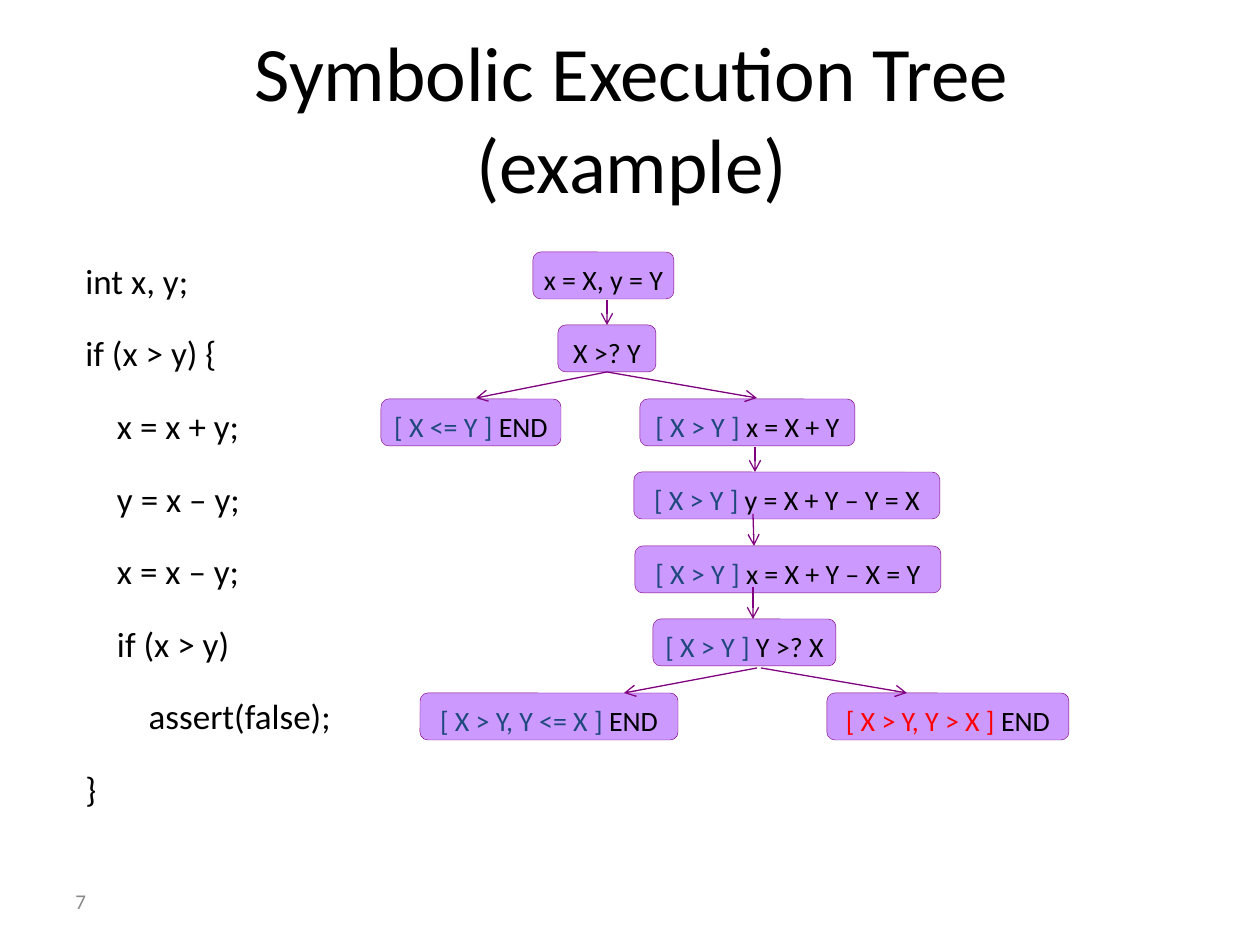
from lxml.etree import SubElement
from pptx import Presentation
from pptx.dml.color import RGBColor
from pptx.enum.shapes import MSO_CONNECTOR, MSO_SHAPE
from pptx.enum.text import MSO_ANCHOR, MSO_AUTO_SIZE, PP_ALIGN
from pptx.oxml.ns import qn
from pptx.util import Emu, Pt

PX = 914400 // 126
COLORS = {
    "text": "000000", "path": "1F497D", "error": "FF0000",
    "fill": "CC99FF", "line": "800080", "number": "898989",
}


def px(*nums):
    return [Emu(n * PX) for n in nums]


def style(font, size, color):
    font.name = "Calibri"
    font.size = Pt(size)
    font.color.rgb = RGBColor.from_string(COLORS[color])


deck = Presentation()
deck.slide_width, deck.slide_height = px(1260, 945)
slide = deck.slides.add_slide(deck.slide_layouts[5])
shapes = slide.shapes

# Title
title = shapes.title
title.left, title.top, title.width, title.height = px(186, 69, 892, 95)
frame = title.text_frame
frame.text = "Symbolic Execution Tree (example)"
frame.word_wrap = True
frame.auto_size = MSO_AUTO_SIZE.NONE
frame.vertical_anchor = MSO_ANCHOR.MIDDLE
frame.paragraphs[0].alignment = PP_ALIGN.CENTER
style(frame.paragraphs[0].runs[0].font, 44, "text")

# Slide number
box = shapes.add_textbox(*px(63, 876, 294, 50))
frame = box.text_frame
frame.text = "7"
frame.word_wrap = True
frame.vertical_anchor = MSO_ANCHOR.MIDDLE
style(frame.paragraphs[0].runs[0].font, 12, "number")

# Program listing
code = [
    "int x, y;",
    "if (x > y) {",
    "    x = x + y;",
    "    y = x – y;",
    "    x = x – y;",
    "    if (x > y)",
    "        assert(false);",
    "}",
]
box = shapes.add_textbox(*px(73, 253, 441, 735 - 73))
frame = box.text_frame
frame.word_wrap = True
frame.text = "\n".join(code)
for i, para in enumerate(frame.paragraphs):
    if i:
        para.space_before = Pt(17.5)
    style(para.runs[0].font, 20, "text")

# Tree nodes: name, row, left, width, path condition, its colour, state
nodes = [
    ("start", 0, 533, 141, "", "path", "x = X, y = Y"),
    ("test", 1, 558, 98, "", "path", "X >? Y"),
    ("else", 2, 381, 180, "[ X <= Y ]", "path", " END"),
    ("then", 2, 640, 215, "[ X > Y ]", "path", " x = X + Y"),
    ("set y", 3, 634, 306, "[ X > Y ]", "path", " y = X + Y – Y = X"),
    ("set x", 4, 635, 306, "[ X > Y ]", "path", " x = X + Y – X = Y"),
    ("retest", 5, 653, 183, "[ X > Y ]", "path", " Y >? X"),
    ("safe", 6, 420, 258, "[ X > Y, Y <= X ]", "path", " END"),
    ("fail", 6, 827, 242, "[ X > Y, Y > X ]", "error", " END"),
]
tree = {}
for name, row, left, width, cond, color, state in nodes:
    node = shapes.add_shape(MSO_SHAPE.FLOWCHART_ALTERNATE_PROCESS,
                            *px(left, 252 + row * 147 // 2, width, 47))
    tree[name] = node
    node.shadow.inherit = False
    node.fill.solid()
    node.fill.fore_color.rgb = RGBColor.from_string(COLORS["fill"])
    node.line.color.rgb = RGBColor.from_string(COLORS["line"])
    node.line.width = Pt(0.25)
    frame = node.text_frame
    frame.margin_left = frame.margin_right = 0
    frame.margin_top = frame.margin_bottom = 0
    frame.word_wrap = False
    frame.vertical_anchor = MSO_ANCHOR.MIDDLE
    para = frame.paragraphs[0]
    para.alignment = PP_ALIGN.CENTER
    para.line_spacing = Pt(24)
    for text, tone in ((cond, color), (state, "text")):
        if text:
            run = para.add_run()
            run.text = text
            style(run.font, 16, tone)

# Arrows: start and end points, then the nodes joined at mid-side
edges = [
    (607, 300, 607, 324, None, "test"),
    (609, 373, 476, 398, "test", None),
    (611, 373, 757, 398, "test", None),
    (755, 447, 755, 472, None, None),
    (753, 514, 754, 546, None, None),
    (753, 587, 753, 619, None, None),
    (757, 668, 624, 693, None, None),
    (761, 668, 907, 693, None, None),
]
for x1, y1, x2, y2, source, target in edges:
    edge = shapes.add_connector(MSO_CONNECTOR.STRAIGHT, *px(x1, y1, x2, y2))
    if source:
        edge.begin_connect(tree[source], 2)
    if target:
        edge.end_connect(tree[target], 0)
    edge.line.color.rgb = RGBColor.from_string(COLORS["line"])
    edge.line.width = Pt(0.75)
    SubElement(edge.line._get_or_add_ln(), qn("a:tailEnd"), type="arrow")
    SubElement(edge._element.spPr, qn("a:effectLst"))

deck.save("out.pptx")
